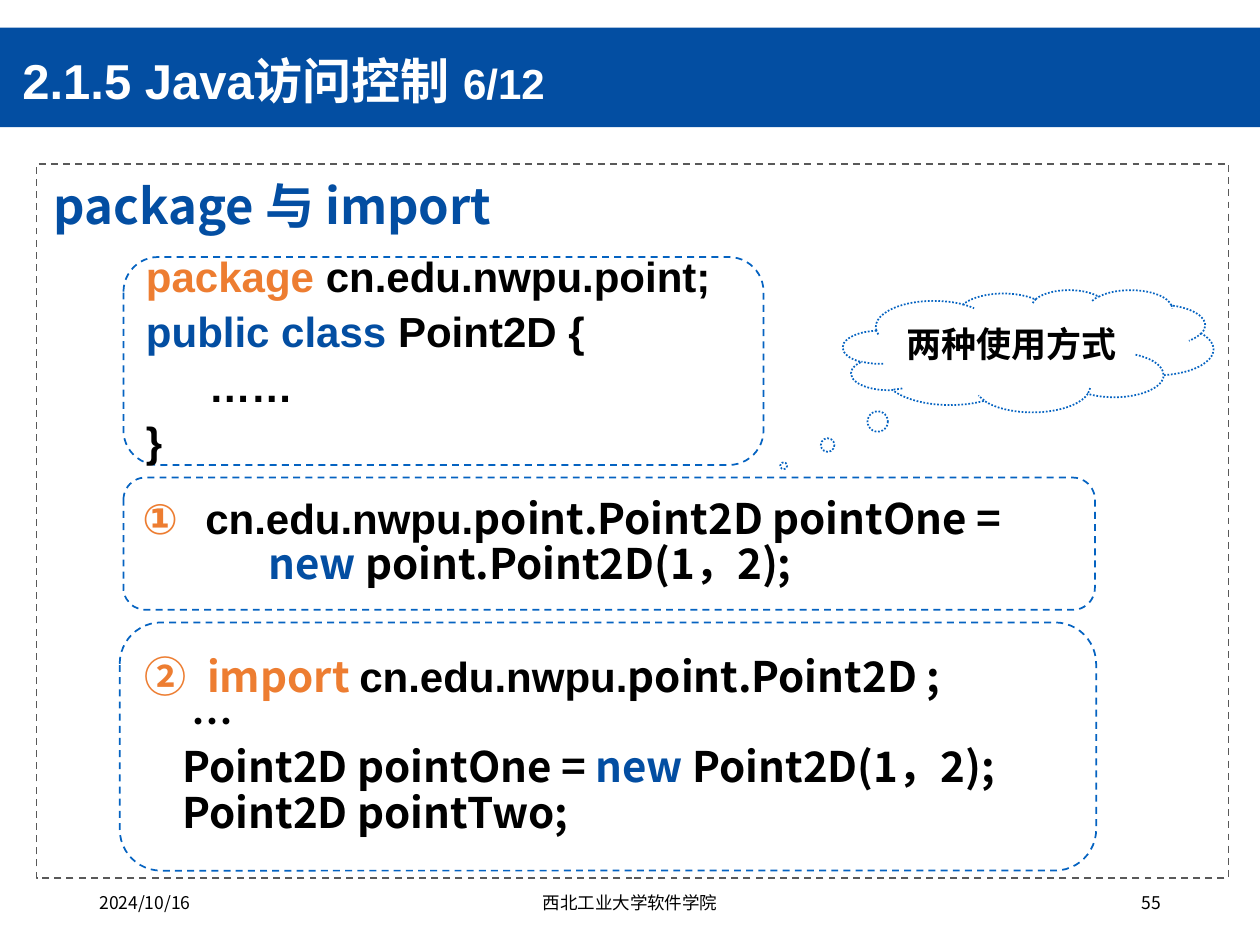
from dataclasses import dataclass
from typing import Optional

from lxml import etree
from pptx import Presentation
from pptx.dml.color import RGBColor
from pptx.enum.dml import MSO_LINE
from pptx.enum.shapes import MSO_SHAPE as SHAPE
from pptx.enum.text import MSO_ANCHOR as ANCHOR, PP_ALIGN as ALIGN
from pptx.oxml.ns import qn
from pptx.util import Inches, Pt

NOTO, ARIAL = "Noto Sans CJK SC", "Arial"
BLUE, ORANGE, BLACK, WHITE = "034EA2", "ED7D31", "000000", "FFFFFF"
GRAY, EDGE = "595959", "0563C1"


@dataclass
class Run:
    text: str
    color: str = BLACK
    font: str = NOTO
    size: float = 24
    bold: bool = True


@dataclass
class Para:
    runs: list[Run]
    left: float = 0
    first: float = 0
    level: int = 0
    number: Optional[int] = None
    spacing: float = 0.9
    before: float = 0
    align: ALIGN = ALIGN.LEFT


@dataclass
class CodeBox:
    at: tuple[float, float, float, float]
    paras: list[Para]


def rgb(color: str) -> RGBColor:
    return RGBColor.from_string(color)


def add_number(pPr, start: int) -> None:
    """Give a paragraph an orange circled number."""
    clr = etree.SubElement(pPr, qn("a:buClr"))
    etree.SubElement(clr, qn("a:srgbClr"), val=ORANGE)
    auto = etree.SubElement(pPr, qn("a:buAutoNum"), type="circleNumDbPlain")
    if start > 1:
        auto.set("startAt", str(start))


def write(shape, paras: list[Para], anchor=ANCHOR.TOP, wrap: bool = True) -> None:
    tf = shape.text_frame
    tf.word_wrap = wrap
    tf.vertical_anchor = anchor
    for i, para in enumerate(paras):
        p = tf.paragraphs[0] if i == 0 else tf.add_paragraph()
        p.alignment = para.align
        p.level = para.level
        p.line_spacing = para.spacing
        if i:
            p.space_before = Pt(para.before)
        pPr = p._p.get_or_add_pPr()
        pPr.set("marL", str(Inches(para.left)))
        pPr.set("indent", str(Inches(para.first)))
        if para.number:
            add_number(pPr, para.number)
        for run in para.runs:
            r = p.add_run()
            r.text = run.text
            f = r.font
            f.name, f.size, f.bold = run.font, Pt(run.size), run.bold
            f.color.rgb = rgb(run.color)
            etree.SubElement(r._r.get_or_add_rPr(), qn("a:ea"), typeface=run.font)


def add_shape(s, kind, at, fill: Optional[str] = None, line: Optional[str] = None,
              dash=MSO_LINE.DASH):
    sp = s.shapes.add_shape(kind, *map(Inches, at))
    sp.shadow.inherit = False
    if fill:
        sp.fill.solid()
        sp.fill.fore_color.rgb = rgb(fill)
    else:
        sp.fill.background()
    if line:
        sp.line.color.rgb = rgb(line)
        sp.line.width = Pt(1)
        sp.line.dash_style = dash
    else:
        sp.line.fill.background()
    return sp


def add_text(s, at, para: Para, anchor=ANCHOR.TOP) -> None:
    write(s.shapes.add_textbox(*map(Inches, at)), [para], anchor)


def code(text: str, color: str = BLACK) -> Run:
    return Run(text, color, ARIAL)


HANG = dict(left=0.5, first=-0.5)
GAP = 5.5
CODE_BOXES = [
    CodeBox((0.98, 2.04, 5.08, 1.65), [
        Para([code("package ", ORANGE), code("cn.edu.nwpu.point;")]),
        Para([code("public class ", BLUE), code("Point2D {")], before=GAP),
        Para([code("……")], first=0.5, level=4, before=GAP),
        Para([code("}")], level=4, before=GAP),
    ]),
    CodeBox((0.98, 3.79, 7.71, 1.05), [
        Para([code("cn.edu.nwpu."), Run("point.Point2D pointOne =")], number=1, **HANG),
        Para([Run("new ", BLUE), Run("point.Point2D(1，2);")],
             left=0.5, first=0.5, level=1),
    ]),
    CodeBox((0.95, 4.94, 7.75, 1.97), [
        Para([Run("import ", ORANGE), code("cn.edu.nwpu."), Run("point.Point2D ;")],
             number=2, **HANG),
        Para([Run("     …")], **HANG),
        Para([Run("    Point2D pointOne = "), Run("new ", BLUE),
              Run("Point2D(1，2);")], **HANG),
        Para([Run("    Point2D pointTwo;")], **HANG),
    ]),
]
FOOTERS = [
    (0.69, 2.25, "2024/10/16", ALIGN.LEFT),
    (3.31, 3.38, "西北工业大学软件学院", ALIGN.CENTER),
    (7.06, 2.25, "55", ALIGN.RIGHT),
]


def main() -> None:
    prs = Presentation()
    prs.slide_width, prs.slide_height = Inches(10), Inches(7.5)
    s = prs.slides.add_slide(prs.slide_layouts[6])

    add_shape(s, SHAPE.RECTANGLE, (0, 0.22, 10, 0.79), fill=BLUE)
    add_shape(s, SHAPE.RECTANGLE, (0.29, 1.3, 9.46, 5.67), line=GRAY)
    add_text(s, (0.33, 1.34, 9.38, 0.65),
             Para([Run("package 与 import", BLUE, size=28)], spacing=1))
    add_text(s, (0.08, 0.33, 7.35, 0.66),
             Para([Run("2.1.5 Java访问控制 ", WHITE, ARIAL, 28),
                   Run("6/12", WHITE, ARIAL)]), ANCHOR.MIDDLE)

    for box in CODE_BOXES:
        sp = add_shape(s, SHAPE.ROUNDED_RECTANGLE, box.at, line=EDGE)
        write(sp, box.paras, ANCHOR.MIDDLE, wrap=False)

    cloud = add_shape(s, SHAPE.CLOUD_CALLOUT, (6.69, 2.3, 2.94, 0.97),
                      line=EDGE, dash=MSO_LINE.ROUND_DOT)
    cloud.adjustments[0], cloud.adjustments[1] = -0.66, 0.94
    write(cloud, [Para([Run("两种使用方式", size=20)], left=0.51, first=-0.51,
                       spacing=0.75)], ANCHOR.MIDDLE)

    for left, width, text, align in FOOTERS:
        add_text(s, (left, 7.03, width, 0.4),
                 Para([Run(text, size=10, bold=False)], spacing=1, align=align))

    prs.save("out.pptx")


if __name__ == "__main__":
    main()
